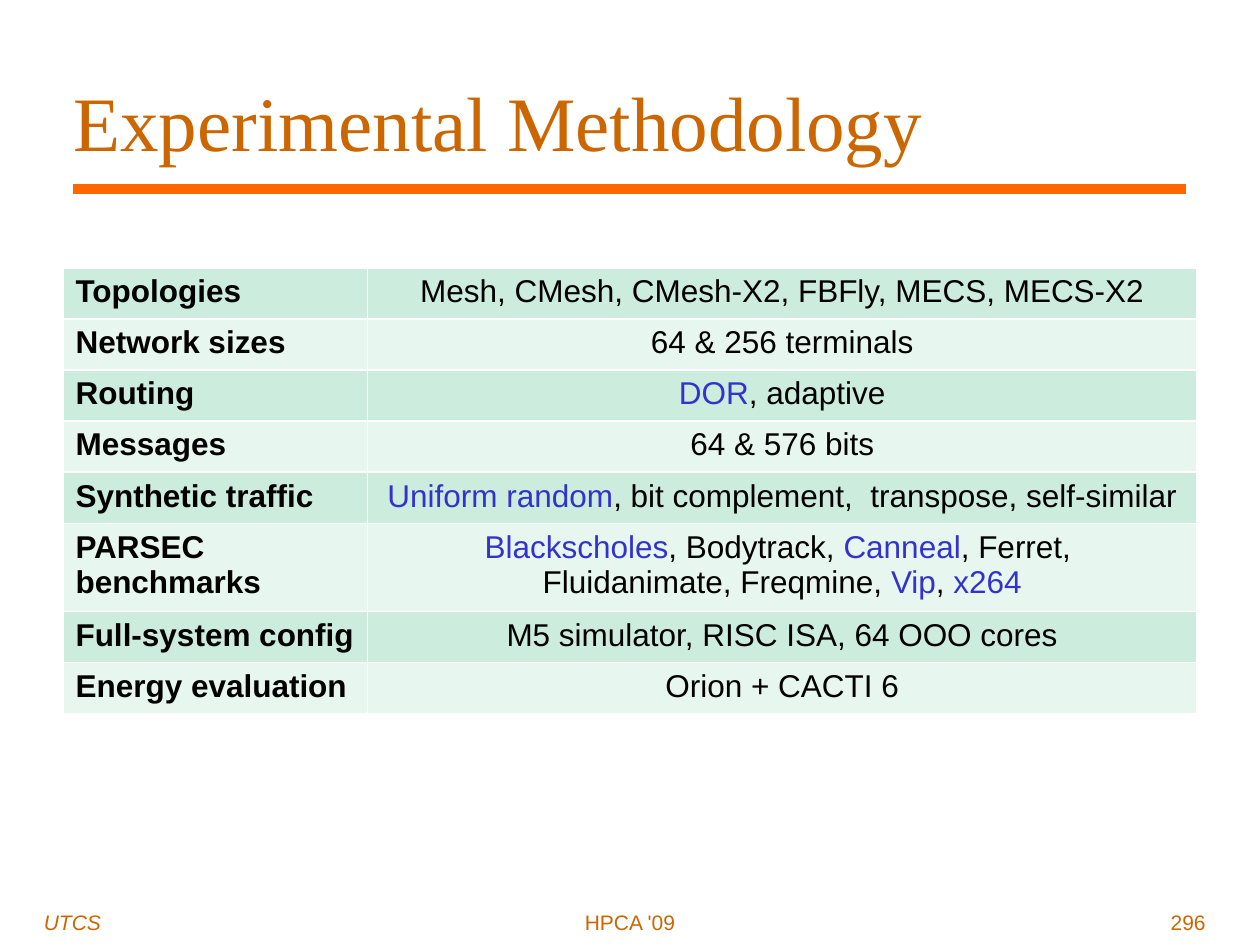
from lxml import etree
from pptx import Presentation
from pptx.dml.color import RGBColor
from pptx.enum.shapes import MSO_CONNECTOR as Connector
from pptx.enum.text import MSO_ANCHOR as Anchor, MSO_AUTO_SIZE as AutoSize, PP_ALIGN as Align
from pptx.oxml.ns import qn
from pptx.util import Inches, Pt

COLORS = {
    "title": "CC6600",
    "rule": "FF6600",
    "text": "000000",
    "accent": "3333CC",
    "border": "FFFFFF",
    "bands": ("CCECDE", "E7F6EF"),
}
COLUMNS, ROWS = 120, 90

METHODOLOGY = [
    ("Topologies", "Mesh, CMesh, CMesh-X2, FBFly, MECS, MECS-X2"),
    ("Network sizes", "64 & 256 terminals"),
    ("Routing", "*DOR*, adaptive"),
    ("Messages", "64 & 576 bits"),
    ("Synthetic traffic", "*Uniform random*, bit complement,  transpose, self-similar"),
    ("PARSEC\nbenchmarks",
     "*Blackscholes*, Bodytrack, *Canneal*, Ferret, \nFluidanimate, Freqmine, *Vip*, *x264*"),
    ("Full-system config", "M5 simulator, RISC ISA, 64 OOO cores"),
    ("Energy evaluation", "Orion + CACTI 6"),
]


class SlideBuilder:
    heading_font = "Times New Roman"
    body_font = "Arial"

    def __init__(self, presentation):
        self.column = presentation.slide_width / COLUMNS
        self.row = presentation.slide_height / ROWS
        self.slide = presentation.slides.add_slide(presentation.slide_layouts[5])

    def box(self, left, top, width, height):
        return (round(left * self.column), round(top * self.row),
                round(width * self.column), round(height * self.row))

    def style(self, run, size, color, font=body_font, bold=False, italic=False):
        run.font.name = font
        run.font.size = Pt(size)
        run.font.bold = bold
        run.font.italic = italic
        run.font.color.rgb = RGBColor.from_string(COLORS[color])

    def title(self, text, *area):
        shape = self.slide.shapes.title
        shape.left, shape.top, shape.width, shape.height = self.box(*area)
        frame = shape.text_frame
        frame.text = text
        frame.auto_size = AutoSize.NONE
        frame.vertical_anchor = Anchor.MIDDLE
        frame.margin_left = frame.margin_right = frame.margin_top = frame.margin_bottom = 0
        paragraph = frame.paragraphs[0]
        paragraph.alignment = Align.LEFT
        paragraph.line_spacing = 0.93
        self.style(paragraph.runs[0], 44, "title", self.heading_font)

    def rule(self, left, right, top):
        x1, y, x2, _ = self.box(left, top, right, 0)
        connector = self.slide.shapes.add_connector(Connector.STRAIGHT, x1, y, x2, y)
        connector.line.width = Pt(6)
        connector.line.color.rgb = RGBColor.from_string(COLORS["rule"])
        etree.SubElement(connector.element.spPr, qn("a:effectLst"))

    def footer(self, text, alignment, *area, italic=False):
        frame = self.slide.shapes.add_textbox(*self.box(*area)).text_frame
        frame.word_wrap = True
        frame.text = text
        paragraph = frame.paragraphs[0]
        paragraph.alignment = alignment
        self.style(paragraph.runs[0], 12, "title", italic=italic)

    def borders(self, cell):
        properties = cell._tc.get_or_add_tcPr()
        for side in ("lnL", "lnR", "lnT", "lnB"):
            line = etree.SubElement(properties, qn(f"a:{side}"), w=str(Pt(1)))
            fill = etree.SubElement(line, qn("a:solidFill"))
            etree.SubElement(fill, qn("a:srgbClr"), val=COLORS["border"])

    def cell(self, cell, text, band, alignment, bold):
        self.borders(cell)
        cell.fill.solid()
        cell.fill.fore_color.rgb = RGBColor.from_string(band)
        frame = cell.text_frame
        frame.text = text
        for paragraph, line in zip(frame.paragraphs, text.split("\n")):
            paragraph.alignment = alignment
            paragraph.clear()
            for index, part in enumerate(line.split("*")):
                if part:
                    run = paragraph.add_run()
                    run.text = part
                    self.style(run, 18, "accent" if index % 2 else "text", bold=bold)

    def table(self, entries, left, top, widths, row_height, tall_height):
        heights = [tall_height if "\n" in label else row_height for label, _ in entries]
        area = self.box(left, top, sum(widths), sum(heights))
        table = self.slide.shapes.add_table(len(entries), len(widths), *area).table
        table.first_row = table.horz_banding = False
        for column, width in zip(table.columns, widths):
            column.width = round(width * self.column)
        for index, (entry, height) in enumerate(zip(entries, heights)):
            table.rows[index].height = round(height * self.row)
            band = COLORS["bands"][index % 2]
            self.cell(table.cell(index, 0), entry[0], band, Align.LEFT, True)
            self.cell(table.cell(index, 1), entry[1], band, Align.CENTER, False)


def main():
    presentation = Presentation()
    presentation.slide_width, presentation.slide_height = Inches(10), Inches(7.5)
    builder = SlideBuilder(presentation)
    builder.rule(7, 113, 18)
    builder.title("Experimental Methodology", 7, 5, 104, 14)
    builder.table(METHODOLOGY, 6, 25.5, (29, 79), 4.87, 8.4)
    builder.footer("UTCS", Align.LEFT, 3, 86, 25, 3, italic=True)
    builder.footer("296", Align.RIGHT, 91, 86, 25, 3)
    builder.footer("HPCA '09", Align.CENTER, 41, 86, 38, 3)
    presentation.save("out.pptx")


if __name__ == "__main__":
    main()
